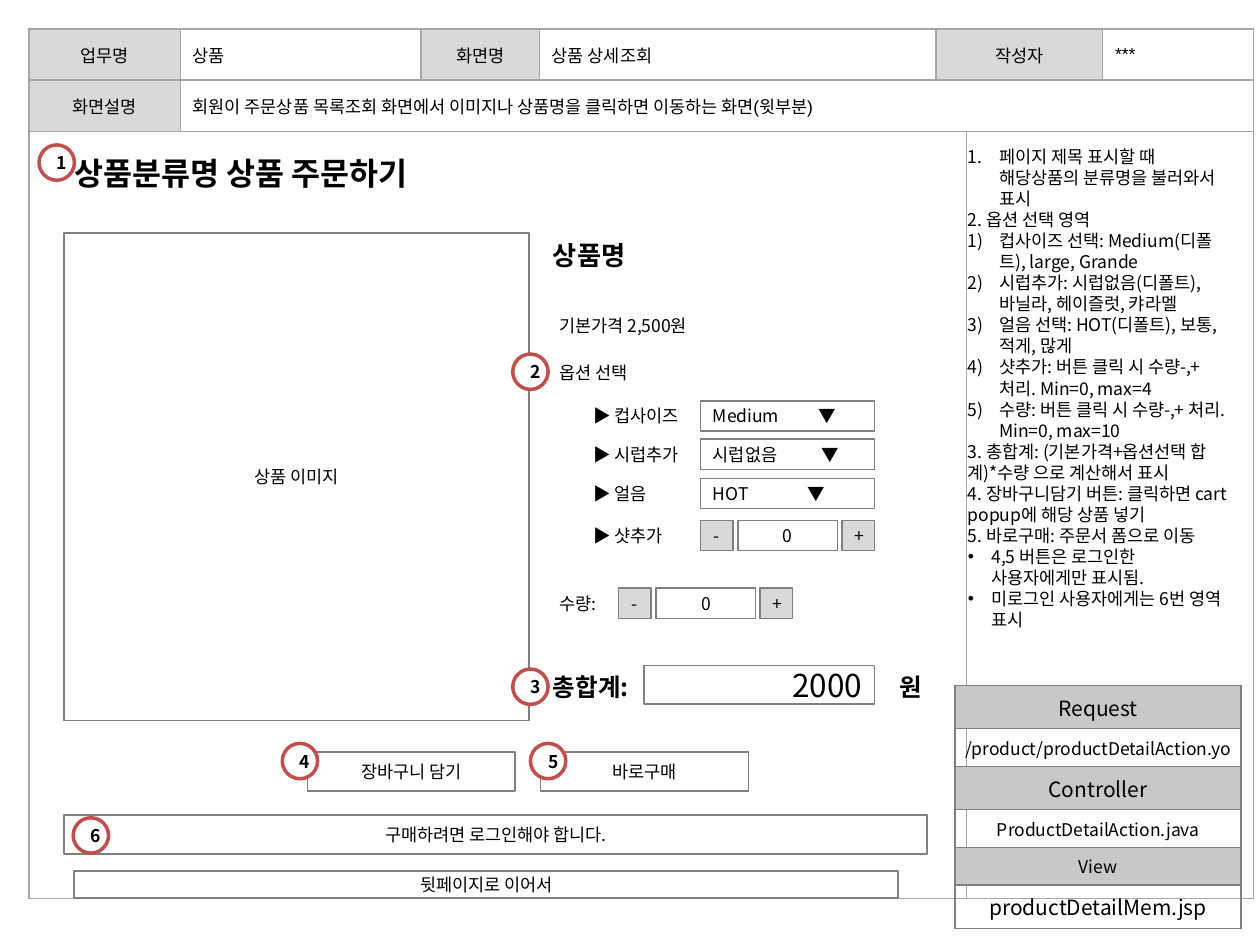
from lxml.etree import SubElement
from pptx import Presentation
from pptx.dml.color import RGBColor
from pptx.enum.shapes import MSO_SHAPE as Preset
from pptx.enum.text import MSO_ANCHOR as Anchor, MSO_AUTO_SIZE as AutoSize, PP_ALIGN as Align
from pptx.oxml.ns import qn
from pptx.util import Pt

SANS = "Noto Sans CJK KR"
BLACK, WHITE, GRAY, HEADER = "000000", "FFFFFF", "808080", "D9D9D9"


def color(value):
    return RGBColor.from_string(value)


def add_xml(parent, tag, **attributes):
    return SubElement(parent, qn(tag), attributes)


def format_text(text_frame, size=10, bold=False, align=Align.LEFT, font=SANS):
    for paragraph in text_frame.paragraphs:
        paragraph.alignment = align
        for run in paragraph.runs:
            run.font.size, run.font.bold, run.font.name = Pt(size), bold, font
            run.font.color.rgb = color(BLACK)
            add_xml(run.font._element, "a:ea", typeface=SANS)


def place(shape, left, top, width, height):
    shape.left, shape.top, shape.width, shape.height = map(Pt, (left, top, width, height))


def add_box(slide, text, left, top, width, height, fill=WHITE, line=GRAY,
            align=Align.CENTER, size=10, bold=False, preset=Preset.RECTANGLE, weight=1):
    shape = slide.shapes.add_shape(preset, Pt(left), Pt(top), Pt(width), Pt(height))
    shape.shadow.inherit = False
    shape.fill.solid()
    shape.fill.fore_color.rgb = color(fill)
    if line:
        shape.line.color.rgb = color(line)
        shape.line.width = Pt(weight)
    else:
        shape.line.fill.background()
    shape.text_frame.text = text
    shape.text_frame.vertical_anchor = Anchor.MIDDLE
    format_text(shape.text_frame, size, bold, align)
    return shape


def add_label(slide, text, left, top, size=10, bold=False):
    add_box(slide, text, left, top, 116.6, 24.5, line=None, align=Align.LEFT, size=size, bold=bold)


def add_text(slide, text, left, top, width, height, size, anchor=Anchor.TOP):
    box = slide.shapes.add_textbox(Pt(left), Pt(top), Pt(width), Pt(height))
    box.text_frame.word_wrap = True
    box.text_frame.text = text
    box.text_frame.vertical_anchor = anchor
    format_text(box.text_frame, size, True)


def add_grid(slide, left, top, columns, rows):
    table = slide.shapes.add_table(len(rows), len(columns), Pt(left), Pt(top),
                                   Pt(sum(columns)), Pt(sum(rows))).table
    table.first_row = table.horz_banding = False
    for column, width in zip(table.columns, columns):
        column.width = Pt(width)
    for row, height in zip(table.rows, rows):
        row.height = Pt(height)
    return table


def format_cell(cell, border, fill=None):
    properties = cell._tc.get_or_add_tcPr()
    for side in ("a:lnL", "a:lnR", "a:lnT", "a:lnB"):
        line = add_xml(properties, side, w=str(Pt(1)))
        add_xml(add_xml(line, "a:solidFill"), "a:srgbClr", val=border)
    if fill:
        cell.fill.solid()
        cell.fill.fore_color.rgb = color(fill)
    else:
        cell.fill.background()
    cell.vertical_anchor = Anchor.MIDDLE


def add_frame(slide, left, top):
    columns = [86.4, 137.5, 67.7, 226.8, 9.4, 77.8, 86.4]
    table = add_grid(slide, left, top, columns, [29.25, 29.25, 438.5])
    for row in range(3):
        for cell in table.rows[row].cells:
            format_cell(cell, "A6A6A6", WHITE if row == 2 else None)
    for row, first, last in [(0, 4, 5), (1, 1, 6), (2, 0, 4), (2, 5, 6)]:
        table.cell(row, first).merge(table.cell(row, last))
    headings = {(0, 0): "업무명", (0, 2): "화면명", (0, 4): "작성자", (1, 0): "화면설명"}
    values = {(0, 1): "상품", (0, 3): "상품 상세조회", (0, 6): "***",
              (1, 1): "회원이 주문상품 목록조회 화면에서 이미지나 상품명을 클릭하면 이동하는 화면(윗부분)"}
    for (row, column), text in (headings | values).items():
        cell = table.cell(row, column)
        cell.text = text
        heading = (row, column) in headings
        if heading:
            cell.fill.solid()
            cell.fill.fore_color.rgb = color(HEADER)
        format_text(cell.text_frame, align=Align.CENTER if heading else Align.LEFT, font="Arial")


def add_stepper(slide, left, top):
    for text, offset, width, fill in [("-", 0, 18.7, HEADER), ("0", 21.4, 56.9, WHITE),
                                      ("+", 80.7, 18.7, HEADER)]:
        add_box(slide, text, left + offset, top, width, 17.3, fill=fill)


def add_options(slide, left, top):
    add_label(slide, "기본가격 2,500원", left, top)
    add_label(slide, "옵션 선택", left, top + 27.4)
    # Drop-down lists: name, choice, arrow position, row offset
    for name, choice, arrow, offset in [("컵사이즈", "Medium", 60.5, 51.9),
                                        ("시럽추가", "시럽없음", 62, 73.8),
                                        ("얼음", "HOT", 54, 96.2)]:
        add_label(slide, f"▶ {name}", left + 19.4, top + offset)
        field = add_box(slide, f"{choice}\t▼", left + 87.8, top + offset + 3.7, 99.4, 17.3,
                        align=Align.LEFT)
        properties = field.text_frame.paragraphs[0]._p.get_or_add_pPr()
        add_xml(add_xml(properties, "a:tabLst"), "a:tab", pos=str(Pt(arrow)), algn="l")
    # Counters
    add_label(slide, "▶ 샷추가", left + 19.4, top + 120.3)
    add_stepper(slide, left + 87.8, top + 123.9)
    add_label(slide, "수량:", left, top + 159.1)
    add_stepper(slide, left + 41, top + 162.7)


def add_total(slide, left, top):
    add_label(slide, "총합계:", left, top, 14, True)
    add_box(slide, "2000", left + 59, top, 131.8, 22.3, align=Align.RIGHT, size=18)
    add_text(slide, "원", left + 198, top, 18, 24.5, 14, Anchor.MIDDLE)


def add_actions(slide, left, top):
    add_box(slide, "장바구니 담기", left + 139, top, 118.8, 22.3)
    add_box(slide, "바로구매", left + 272.2, top, 118.8, 22.3)
    add_box(slide, "구매하려면 로그인해야 합니다.", left, top + 36, 493.2, 22.3)
    add_box(slide, "뒷페이지로 이어서", left + 5.8, top + 67.7, 470.9, 15.8)


def fill_title(title, left, top, width, height):
    place(title, left, top, width, height)
    title.text_frame.text = "상품분류명 상품 주문하기"
    title.text_frame.word_wrap = False
    title.text_frame.auto_size = AutoSize.NONE
    title.text_frame.vertical_anchor = Anchor.TOP
    format_text(title.text_frame, 18, True)


def fill_notes(body, left, top, width, height):
    place(body, left, top, width, height)
    notes = [
        ("arabicPeriod", "페이지 제목 표시할 때 해당상품의 분류명을 불러와서 표시"),
        (None, "2. 옵션 선택 영역"),
        ("arabicParenR", "컵사이즈 선택: Medium(디폴트), large, Grande"),
        ("arabicParenR", "시럽추가: 시럽없음(디폴트), 바닐라, 헤이즐럿, 캬라멜"),
        ("arabicParenR", "얼음 선택: HOT(디폴트), 보통, 적게, 많게"),
        ("arabicParenR", "샷추가: 버튼 클릭 시 수량-,+ 처리. Min=0, max=4"),
        ("arabicParenR", "수량: 버튼 클릭 시 수량-,+ 처리. Min=0, max=10"),
        (None, "3. 총합계: (기본가격+옵션선택 합계)*수량 으로 계산해서 표시"),
        (None, "4. 장바구니담기 버튼: 클릭하면 cart popup에 해당 상품 넣기"),
        (None, "5. 바로구매: 주문서 폼으로 이동"),
        ("•", "4,5 버튼은 로그인한 사용자에게만 표시됨."),
        ("•", "미로그인 사용자에게는 6번 영역 표시"),
    ]
    body.text_frame.text = "\n".join(text for _, text in notes)
    body.text_frame.auto_size = AutoSize.NONE
    format_text(body.text_frame)
    for paragraph, (bullet, _) in zip(body.text_frame.paragraphs, notes):
        paragraph.space_before = Pt(0)
        properties = paragraph._p.get_or_add_pPr()
        indent = Pt({None: 0, "•": 13.5}.get(bullet, 18))
        properties.set("marL", str(indent))
        properties.set("indent", str(-indent))
        if bullet is None:
            add_xml(properties, "a:buNone")
        elif bullet == "•":
            add_xml(properties, "a:buFont", typeface="Arial")
            add_xml(properties, "a:buChar", char=bullet)
        else:
            add_xml(properties, "a:buFont", typeface=SANS)
            add_xml(properties, "a:buAutoNum", type=bullet)


def add_flow(slide, left, top, width):
    entries = [("Request", 12), ("/product/productDetailAction.yo", 10), ("Controller", 12),
               ("ProductDetailAction.java", 10), ("View", 10), ("productDetailMem.jsp", 12)]
    table = add_grid(slide, left, top, [width], [1.2 * size + 7.2 for _, size in entries])
    for index, (text, size) in enumerate(entries):
        cell = table.cell(index, 0)
        cell.text = text
        format_cell(cell, GRAY, None if index % 2 else "C8C8C8")
        cell.margin_left = cell.margin_right = 0
        cell.margin_top = cell.margin_bottom = Pt(3.6)
        format_text(cell.text_frame, size, align=Align.CENTER)


def add_markers(slide, centers):
    for number, (x, y) in enumerate(centers, 1):
        add_box(slide, str(number), x - 10.1, y - 10.1, 20.2, 20.2, line="C0504D",
                bold=True, preset=Preset.OVAL, weight=2)


def main():
    presentation = Presentation()
    presentation.slide_width, presentation.slide_height = Pt(720), Pt(540)
    slide = presentation.slides.add_slide(presentation.slide_layouts[1])
    title, body = slide.placeholders

    add_frame(slide, 16.6, 16.6)
    # Product detail
    add_text(slide, "상품명", 308.9, 133.2, 187.2, 25.2, 15)
    add_box(slide, "상품 이미지", 36.7, 133.2, 265.7, 278.6)
    add_options(slide, 312.5, 173.5)
    add_total(slide, 308.9, 380.2)
    add_actions(slide, 36.7, 429.8)
    add_markers(slide, [(32.4, 92.9), (303.1, 212.4), (303.1, 392.4),
                        (171.4, 434.9), (313.2, 434.9), (51.9, 477.4)])
    # Title and notes lie above the frame
    fill_title(title, 35.3, 84.2, 227.5, 28.8)
    fill_notes(body, 545.8, 79.9, 163.4, 310.3)
    for placeholder in (title, body):
        slide.shapes.element.append(placeholder.element)
    add_flow(slide, 545.8, 391.7, 163.4)
    presentation.save("out.pptx")


if __name__ == "__main__":
    main()
